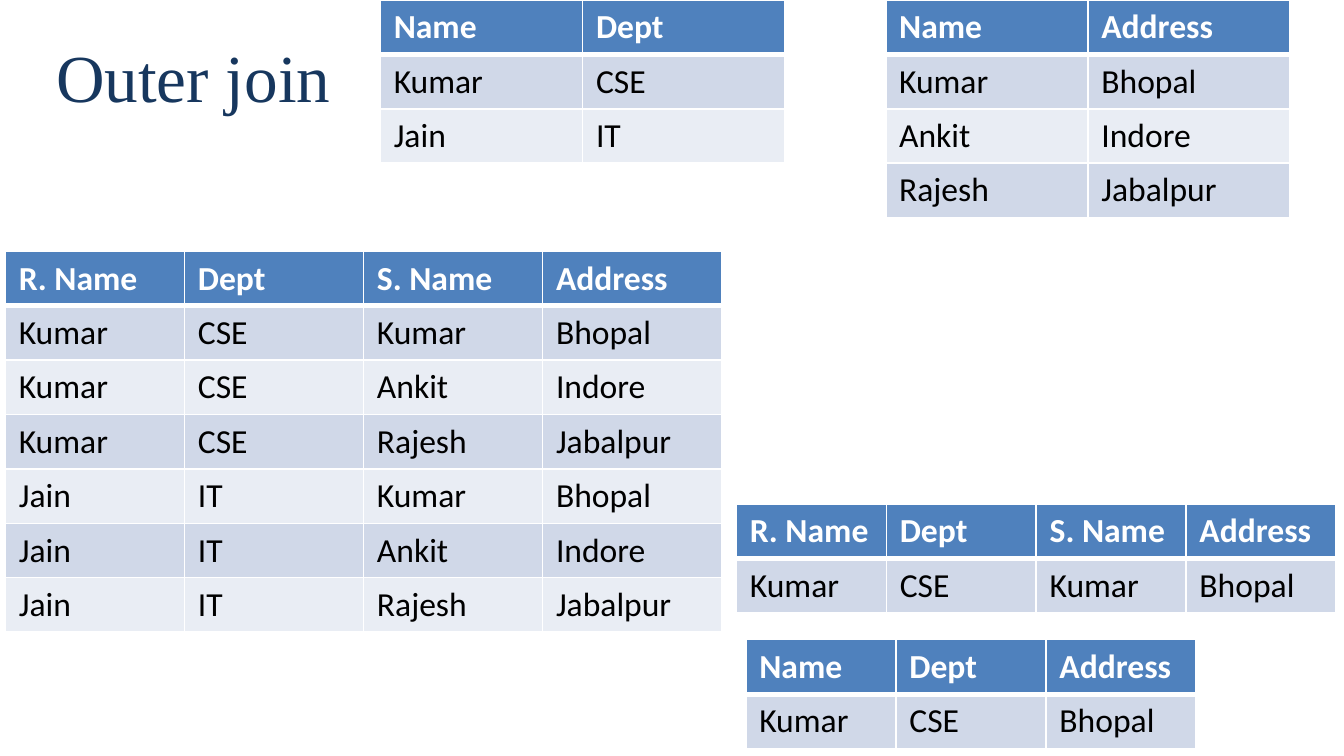
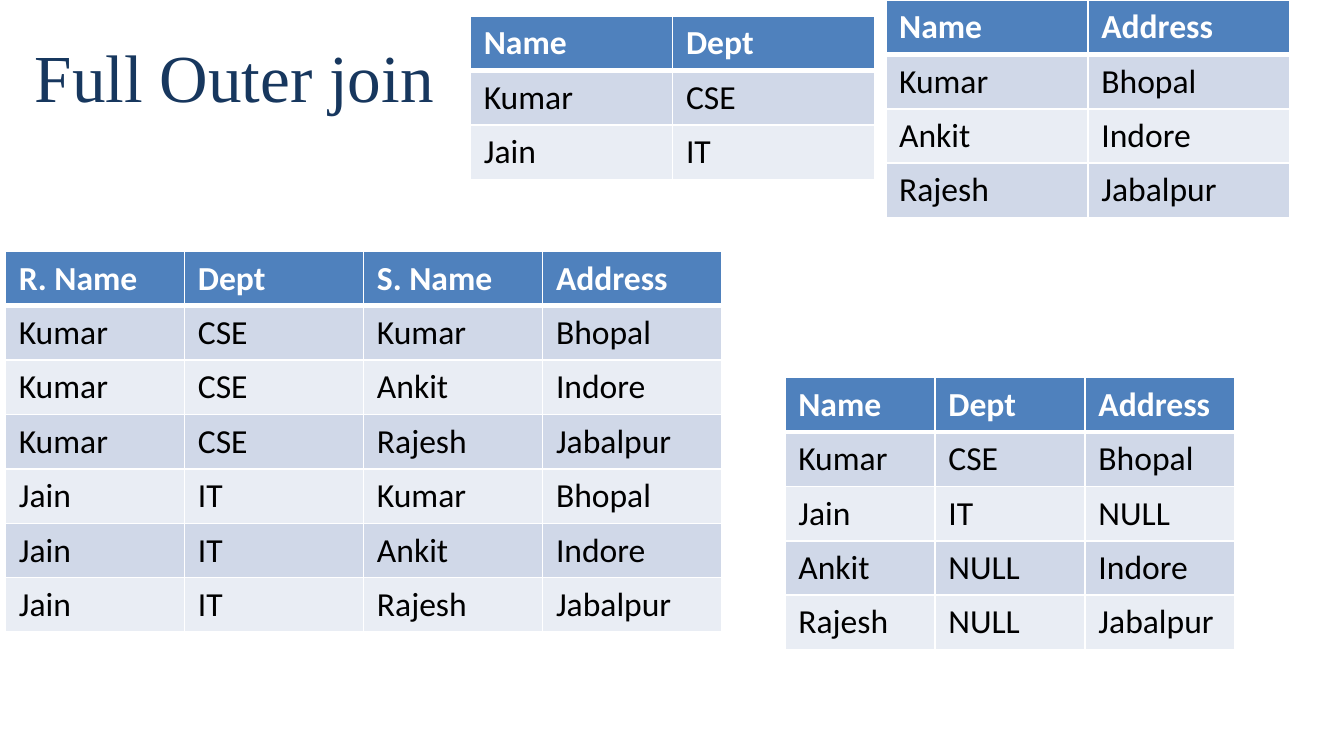
from itertools import product
from lxml.etree import SubElement
from pptx import Presentation
from pptx.dml.color import RGBColor
from pptx.enum.text import MSO_ANCHOR
from pptx.oxml.ns import qn
from pptx.util import Inches, Pt

# Shared styles
ROW_H = 0.81 / 2
HEADER_FILL, BANDS, BORDER = "4F81BD", ("D0D8E8", "E9EDF4"), "FFFFFF"
TITLE = {"name": "Times New Roman", "size": Pt(36), "color": "17375E"}
HEADER = {"name": "Calibri", "size": Pt(18), "bold": True, "color": "FFFFFF"}
BODY = {"name": "Calibri", "size": Pt(18), "bold": False, "color": "000000"}


def write(tf, text, style):
    r = tf.paragraphs[0].add_run()
    r.text = text
    for key, value in style.items():
        if key == "color":
            r.font.color.rgb = RGBColor.from_string(value)
        else:
            setattr(r.font, key, value)


def add_grid(s, left, top, width, rows):
    n_rows, n_cols = len(rows), len(rows[0])
    tbl = s.shapes.add_table(n_rows, n_cols, Inches(left), Inches(top),
                             Inches(width), Inches(ROW_H * n_rows)).table
    for i, row in enumerate(rows):
        for j, text in enumerate(row):
            cell = tbl.cell(i, j)
            write(cell.text_frame, text, BODY if i else HEADER)
            # Borders come before the fill; the header's thick rule tops row 1
            for side in "LRTB":
                if side == "T" and i == 1:
                    continue
                points = 3 if side == "B" and i == 0 else 1
                ln = SubElement(cell._tc.get_or_add_tcPr(), qn("a:ln" + side), w=str(Pt(points)))
                SubElement(SubElement(ln, qn("a:solidFill")), qn("a:srgbClr"), val=BORDER)
            cell.fill.solid()
            color = BANDS[(i - 1) % 2] if i else HEADER_FILL
            cell.fill.fore_color.rgb = RGBColor.from_string(color)


# Relations and their joins
depts = [("Kumar", "CSE"), ("Jain", "IT")]
addresses = [("Kumar", "Bhopal"), ("Ankit", "Indore"), ("Rajesh", "Jabalpur")]
pairs = [d + a for d, a in product(depts, addresses)]
matches = [row for row in pairs if row[0] == row[2]]
pair_header = ("R. Name", "Dept", "S. Name", "Address")
join_header = ("Name", "Dept", "Address")

dept_table = [("Name", "Dept")] + depts
address_table = [("Name", "Address")] + addresses
cross_product = [pair_header] + pairs
matched = [pair_header] + matches
inner_join = [join_header] + [(name, dept, address) for name, dept, _, address in matches]
full_join = inner_join + [("Jain", "IT", "NULL"), ("Ankit", "NULL", "Indore"),
                          ("Rajesh", "NULL", "Jabalpur")]

# Slides: title, its left and width, then tables as left, top, width, rows
shared = [(6.59, 0, 3.01, address_table), (0.04, 1.87, 5.33, cross_product)]
slides = [
    ("Outer join", 0.32, 9.02,
     [(2.83, 0, 3.01, dept_table), *shared,
      (5.48, 3.75, 4.46, matched), (5.55, 4.76, 3.35, inner_join)]),
    ("Full Outer join", 0.16, 9.19,
     [(3.5, 0.12, 3.01, dept_table), *shared, (5.84, 2.81, 3.35, full_join)]),
]

# Widescreen 16:9
prs = Presentation()
prs.slide_width = Inches(10)
prs.slide_height = Inches(10 * 9 / 16)
for title, left, width, tables in slides:
    s = prs.slides.add_slide(prs.slide_layouts[6])
    tf = s.shapes.add_textbox(Inches(left), Inches(0.14), Inches(width), Inches(0.84)).text_frame
    tf.word_wrap = True
    tf.vertical_anchor = MSO_ANCHOR.MIDDLE
    write(tf, title, TITLE)
    for table in tables:
        add_grid(s, *table)

prs.save("out.pptx")
